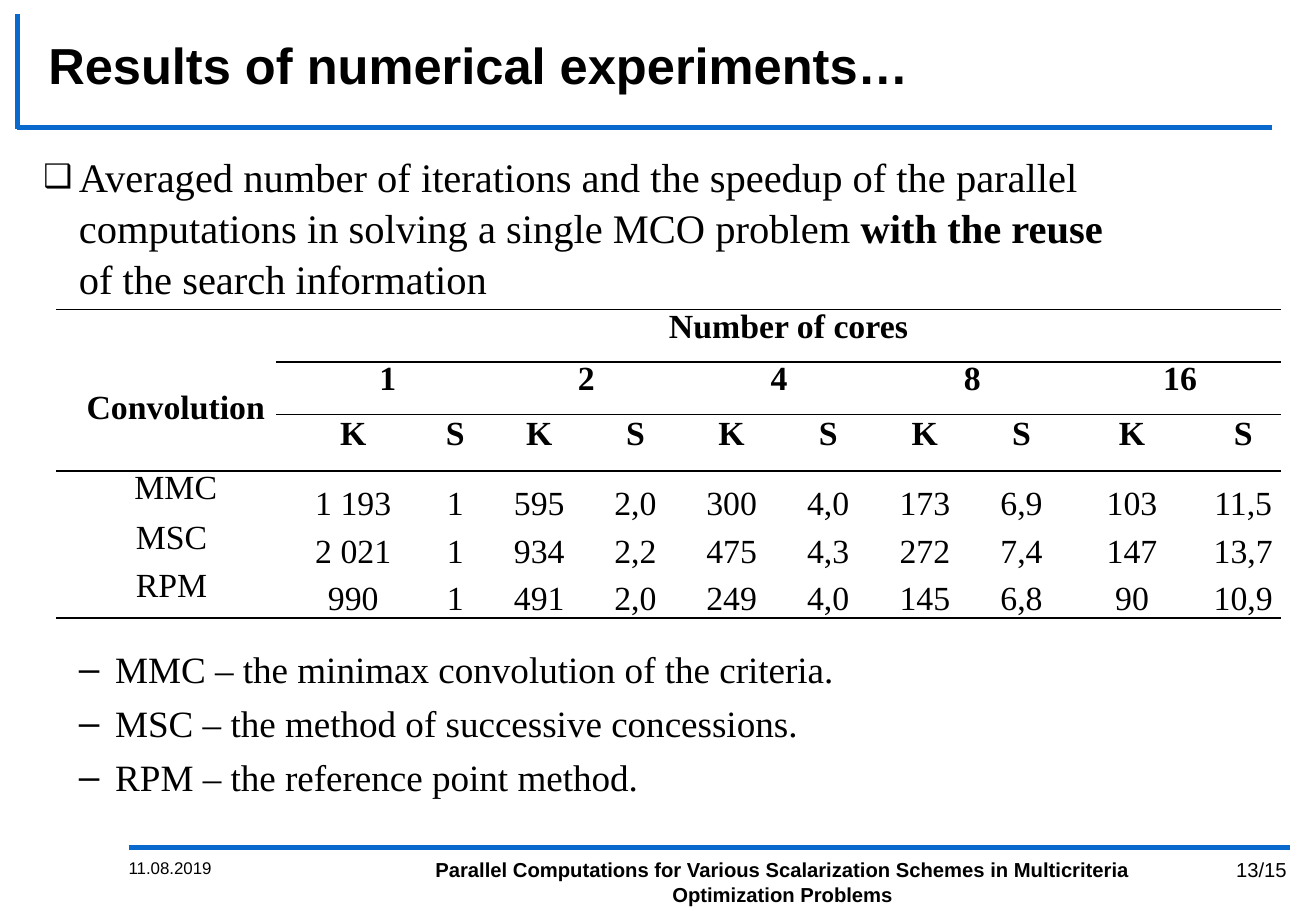
from lxml import etree
from pptx import Presentation
from pptx.dml.color import RGBColor
from pptx.enum.shapes import MSO_CONNECTOR
from pptx.enum.text import MSO_ANCHOR, PP_ALIGN
from pptx.oxml.ns import qn
from pptx.util import Cm, Pt

BLACK = RGBColor(0x00, 0x00, 0x00)
BLUE = RGBColor(0x09, 0x69, 0xCD)
SANS = "Arial"
SERIF = "Times New Roman"
STRAIGHT = MSO_CONNECTOR.STRAIGHT
TOP, MIDDLE, BOTTOM = MSO_ANCHOR.TOP, MSO_ANCHOR.MIDDLE, MSO_ANCHOR.BOTTOM
LEFT, CENTER, RIGHT = PP_ALIGN.LEFT, PP_ALIGN.CENTER, PP_ALIGN.RIGHT

CORES = ["1", "2", "4", "8", "16"]
RESULTS = [
    ["MMC", "1 193", "1", "595", "2,0", "300", "4,0", "173", "6,9", "103", "11,5"],
    ["MSC ", "2 021", "1", "934", "2,2", "475", "4,3", "272", "7,4", "147", "13,7"],
    ["RPM ", "990", "1", "491", "2,0", "249", "4,0", "145", "6,8", "90", "10,9"],
]
COLUMN_WIDTHS = [4.6, 2.82, 1.45, 2.06, 1.96, 2.06, 1.98, 2.06, 1.98, 2.64, 2.01]
ROW_HEIGHTS = [1.09, 1.09, 1.19, 1.09, 0.99, 0.99]
HEADER_ROWS = 3
THIN, THICK = 0.75, 1
FULL_RULES = {0: THIN, 3: THICK, 6: THICK}
CORE_RULES = {1: THIN, 2: THIN}


def write_text(frame, paragraphs, font=SANS, size=12, bold=False, align=LEFT,
               spacing=None, after=0, margin=0, indent=0, bullet=None, bullet_size=100):
    for index, lines in enumerate(paragraphs):
        paragraph = frame.paragraphs[0] if index == 0 else frame.add_paragraph()
        paragraph.alignment = align
        paragraph.space_before = Pt(0)
        paragraph.space_after = Pt(after)
        if spacing is not None:
            paragraph.line_spacing = spacing
        properties = paragraph._p.get_or_add_pPr()
        properties.set("marL", str(Cm(margin)))
        properties.set("indent", str(Cm(indent)))
        if bullet:
            etree.SubElement(properties, qn("a:buSzPct"), val=str(bullet_size * 1000))
            etree.SubElement(properties, qn("a:buFont"), typeface=SANS)
            etree.SubElement(properties, qn("a:buChar"), char=bullet)
        for number, line in enumerate([lines] if isinstance(lines, str) else lines):
            if number:
                paragraph.add_line_break()
            for text, strong in [(line, bold)] if isinstance(line, str) else line:
                run = paragraph.add_run()
                run.text = text
                run.font.name = font
                run.font.size = Pt(size)
                run.font.bold = strong
                run.font.color.rgb = BLACK


def table_rule(edge, column):
    return FULL_RULES.get(edge) or (CORE_RULES.get(edge) if column else None)


def draw_border(cell, side, width):
    line = etree.SubElement(cell._tc.get_or_add_tcPr(), qn(f"a:ln{side}"))
    if width:
        line.set("w", str(Pt(width)))
        fill = etree.SubElement(line, qn("a:solidFill"))
        etree.SubElement(fill, qn("a:srgbClr"), val=str(BLACK))
    else:
        line.set("w", "0")
        etree.SubElement(line, qn("a:noFill"))


class SlideBuilder:
    def __init__(self, slide, accent):
        self.shapes = slide.shapes
        self.accent = accent

    def line(self, x1, y1, x2, y2):
        rule = self.shapes.add_connector(STRAIGHT, Cm(x1), Cm(y1), Cm(x2), Cm(y2))
        rule.line.color.rgb = self.accent
        rule.line.width = Pt(3)
        etree.SubElement(rule._element.spPr, qn("a:effectLst"))

    def text(self, left, top, width, height, paragraphs, anchor=TOP, **style):
        frame = self.shapes.add_textbox(Cm(left), Cm(top), Cm(width), Cm(height)).text_frame
        frame.word_wrap = True
        frame.vertical_anchor = anchor
        write_text(frame, paragraphs, **style)

    def table(self, left, top):
        grid = self.shapes.add_table(
            len(ROW_HEIGHTS), len(COLUMN_WIDTHS), Cm(left), Cm(top),
            Cm(sum(COLUMN_WIDTHS)), Cm(sum(ROW_HEIGHTS))).table
        grid.first_row = grid.horz_banding = False
        for column, width in zip(grid.columns, COLUMN_WIDTHS):
            column.width = Cm(width)
        for row, height in zip(grid.rows, ROW_HEIGHTS):
            row.height = Cm(height)

        grid.cell(0, 1).merge(grid.cell(0, 10))
        grid.cell(1, 0).merge(grid.cell(2, 0))
        entries = {(0, 1): "Number of cores", (1, 0): "Convolution"}
        for index, cores in enumerate(CORES):
            first = 1 + 2 * index
            grid.cell(1, first).merge(grid.cell(1, first + 1))
            entries.update({(1, first): cores, (2, first): "K", (2, first + 1): "S"})
        for row, values in enumerate(RESULTS, HEADER_ROWS):
            entries.update({(row, column): value for column, value in enumerate(values)})

        for row in range(len(ROW_HEIGHTS)):
            for column in range(len(COLUMN_WIDTHS)):
                cell = grid.cell(row, column)
                cell.margin_left = cell.margin_right = Cm(0.05)
                cell.margin_top = cell.margin_bottom = 0
                is_value = row >= HEADER_ROWS and column > 0
                cell.vertical_anchor = BOTTOM if is_value else MIDDLE
                borders = {"L": None, "R": None, "T": table_rule(row, column),
                           "B": table_rule(row + cell.span_height, column)}
                for side, width in borders.items():
                    draw_border(cell, side, width)
                cell.fill.background()
                if (row, column) in entries:
                    write_text(cell.text_frame, [entries[row, column]], font=SERIF, size=20,
                               bold=row < HEADER_ROWS, align=CENTER, spacing=Pt(12), indent=0.41)


def main():
    deck = Presentation()
    deck.slide_width, deck.slide_height = Cm(27.51), Cm(19.05)
    builder = SlideBuilder(deck.slides.add_slide(deck.slide_layouts[6]), BLUE)

    builder.line(2.69, 17.73, 26.97, 17.73)
    builder.line(0.36, 2.67, 26.59, 2.67)
    builder.line(0.36, 0.3, 0.36, 2.69)
    builder.text(0.76, 0.58, 26.29, 1.55, ["Results of numerical experiments…"],
                 anchor=MIDDLE, size=30, bold=True)

    summary = [
        [("Averaged number of iterations and the speedup of the parallel "
          "computations in solving a single MCO problem ", False), ("with the reuse ", True)],
        "of the search information",
    ]
    builder.text(0.66, 3, 26.39, 3.4, [summary], font=SERIF, size=24, spacing=1.05,
                 margin=0.74, indent=-0.74, bullet="❑", bullet_size=80)
    builder.table(1.17, 6.48)
    builder.text(0.66, 13.34, 26.39, 3.6, [
        "MMC – the minimax convolution of the criteria.",
        "MSC – the method of successive concessions.",
        "RPM – the reference point method.",
    ], font=SERIF, size=22, spacing=1.05, after=4.4, margin=1.5, indent=-0.76, bullet="–")

    builder.text(2.44, 17.81, 5.69, 1.24, ["11.08.2019"], size=10)
    builder.text(8.36, 17.81, 16, 1.24,
                 ["Parallel Computations for Various Scalarization Schemes "
                  "in Multicriteria Optimization Problems"], bold=True, align=CENTER)
    builder.text(24.56, 17.81, 2.59, 1.24, ["13/15"], align=RIGHT)
    deck.save("out.pptx")


if __name__ == "__main__":
    main()
